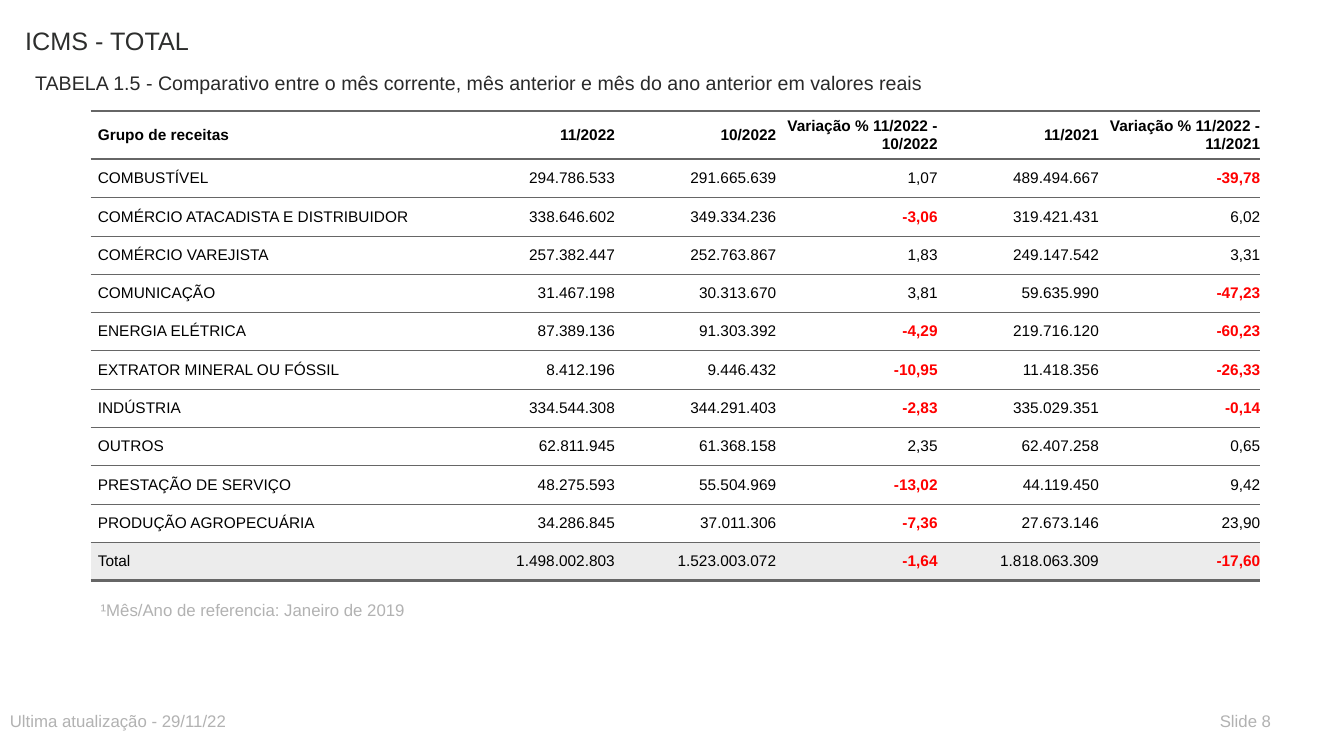
from lxml.etree import SubElement
from pptx import Presentation
from pptx.dml.color import RGBColor
from pptx.enum.text import MSO_ANCHOR, MSO_AUTO_SIZE, PP_ALIGN
from pptx.oxml.ns import qn
from pptx.util import Inches, Pt

UNIT = 0.05
FONT = "Arial"
BLACK, RED, GRAY, WHITE, SHADE = "000000", "FF0000", "B2B2B2", "FFFFFF", "ECECEC"
RULE = "666666"
PLAIN = "{2D5ABB26-0587-4C30-8999-92F81FD0307C}"
COLS = (72, 32, 32, 32, 32, 32)
HEAD, BODY = 9.6, 7.6
ROWS = (
    ("Grupo de receitas", "11/2022", "10/2022", "Variação % 11/2022 - 10/2022",
     "11/2021", "Variação % 11/2022 - 11/2021"),
    ("COMBUSTÍVEL", "294.786.533", "291.665.639", "1,07", "489.494.667", "-39,78"),
    ("COMÉRCIO ATACADISTA E DISTRIBUIDOR", "338.646.602", "349.334.236", "-3,06",
     "319.421.431", "6,02"),
    ("COMÉRCIO VAREJISTA", "257.382.447", "252.763.867", "1,83", "249.147.542", "3,31"),
    ("COMUNICAÇÃO", "31.467.198", "30.313.670", "3,81", "59.635.990", "-47,23"),
    ("ENERGIA ELÉTRICA", "87.389.136", "91.303.392", "-4,29", "219.716.120", "-60,23"),
    ("EXTRATOR MINERAL OU FÓSSIL", "8.412.196", "9.446.432", "-10,95",
     "11.418.356", "-26,33"),
    ("INDÚSTRIA", "334.544.308", "344.291.403", "-2,83", "335.029.351", "-0,14"),
    ("OUTROS", "62.811.945", "61.368.158", "2,35", "62.407.258", "0,65"),
    ("PRESTAÇÃO DE SERVIÇO", "48.275.593", "55.504.969", "-13,02", "44.119.450", "9,42"),
    ("PRODUÇÃO AGROPECUÁRIA", "34.286.845", "37.011.306", "-7,36", "27.673.146", "23,90"),
    ("Total", "1.498.002.803", "1.523.003.072", "-1,64", "1.818.063.309", "-17,60"),
)


def grid(count):
    return Inches(count * UNIT)


def color(value):
    return RGBColor.from_string(value)


def write(para, text, size, tint, bold=False):
    run = para.add_run()
    run.text = text
    font = run.font
    font.name, font.size, font.bold = FONT, Pt(size), bold
    font.color.rgb = color(tint)


def label(shape, box, text, size, tint):
    shape.left, shape.top, shape.width, shape.height = map(grid, box)
    frame = shape.text_frame
    frame.word_wrap = True
    frame.auto_size = MSO_AUTO_SIZE.NONE
    frame.vertical_anchor = MSO_ANCHOR.TOP
    para = frame.paragraphs[0]
    para.alignment = PP_ALIGN.LEFT
    write(para, text, size, tint)


def note(slide, box, text, size, tint):
    label(slide.shapes.add_textbox(0, 0, 0, 0), box, text, size, tint)


def border(cell, side, width):
    props = cell._tc.get_or_add_tcPr()
    line = SubElement(props, qn("a:" + side), w=str(Pt(width)))
    fill = SubElement(line, qn("a:solidFill"))
    SubElement(fill, qn("a:srgbClr"), val=RULE)


def style(cell, row):
    last = len(ROWS) - 1
    border(cell, "lnT", 2 if row < 2 else 0.5)
    border(cell, "lnB", 2 if row in (0, last) else 0.5)
    cell.fill.solid()
    cell.fill.fore_color.rgb = color(SHADE if row == last else WHITE)
    cell.margin_left = cell.margin_right = 0
    cell.margin_top = cell.margin_bottom = Inches(0.07)
    cell.vertical_anchor = MSO_ANCHOR.MIDDLE


def fill(cell, text, row, col):
    loss = text.startswith("-")
    para = cell.text_frame.paragraphs[0]
    para.alignment = PP_ALIGN.RIGHT if col else PP_ALIGN.LEFT
    para._p.get_or_add_pPr().set("marL", str(Inches(0.07)))
    write(para, text, 11, RED if loss else BLACK, loss or row == 0)


def revenue(slide, left, top):
    tall = HEAD + BODY * (len(ROWS) - 1)
    box = map(grid, (left, top, sum(COLS), tall))
    table = slide.shapes.add_table(len(ROWS), len(COLS), *box).table
    table.horz_banding = False
    table._tbl.tblPr.find(qn("a:tableStyleId")).text = PLAIN
    for column, width in zip(table.columns, COLS):
        column.width = grid(width)
    for row, texts in enumerate(ROWS):
        table.rows[row].height = grid(BODY if row else HEAD)
        for col, text in enumerate(texts):
            cell = table.cell(row, col)
            style(cell, row)
            fill(cell, text, row, col)


def footer(slide, top):
    note(slide, (0, top, 130, 6), "Ultima atualização - 29/11/22", 12, GRAY)
    note(slide, (240, top, 18, 6), "Slide 8", 12, GRAY)


def main():
    deck = Presentation()
    deck.slide_width, deck.slide_height = Inches(13.33), Inches(7.5)
    slide = deck.slides.add_slide(deck.slide_layouts[5])
    label(slide.shapes.title, (3, 4, 160, 12), "ICMS - TOTAL", 18, "2D2E2D")
    note(slide, (5, 13, 200, 6),
         "TABELA 1.5 - Comparativo entre o mês corrente, mês anterior "
         "e mês do ano anterior em valores reais", 14, "292929")
    revenue(slide, 18, 22)
    note(slide, (18, 118, 130, 6), "¹Mês/Ano de referencia: Janeiro de 2019", 12, GRAY)
    footer(slide, 140)
    deck.save("out.pptx")


if __name__ == "__main__":
    main()
